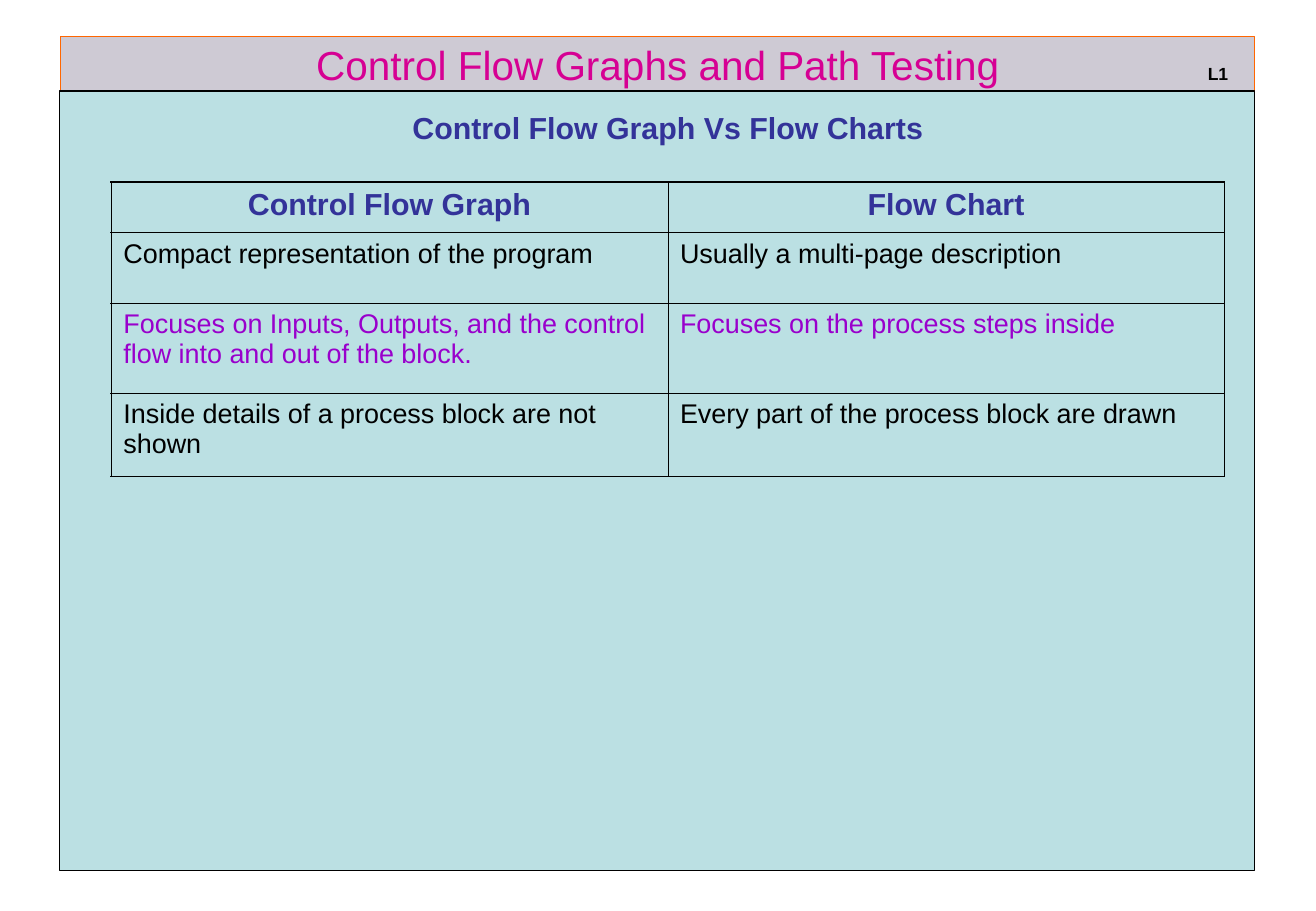
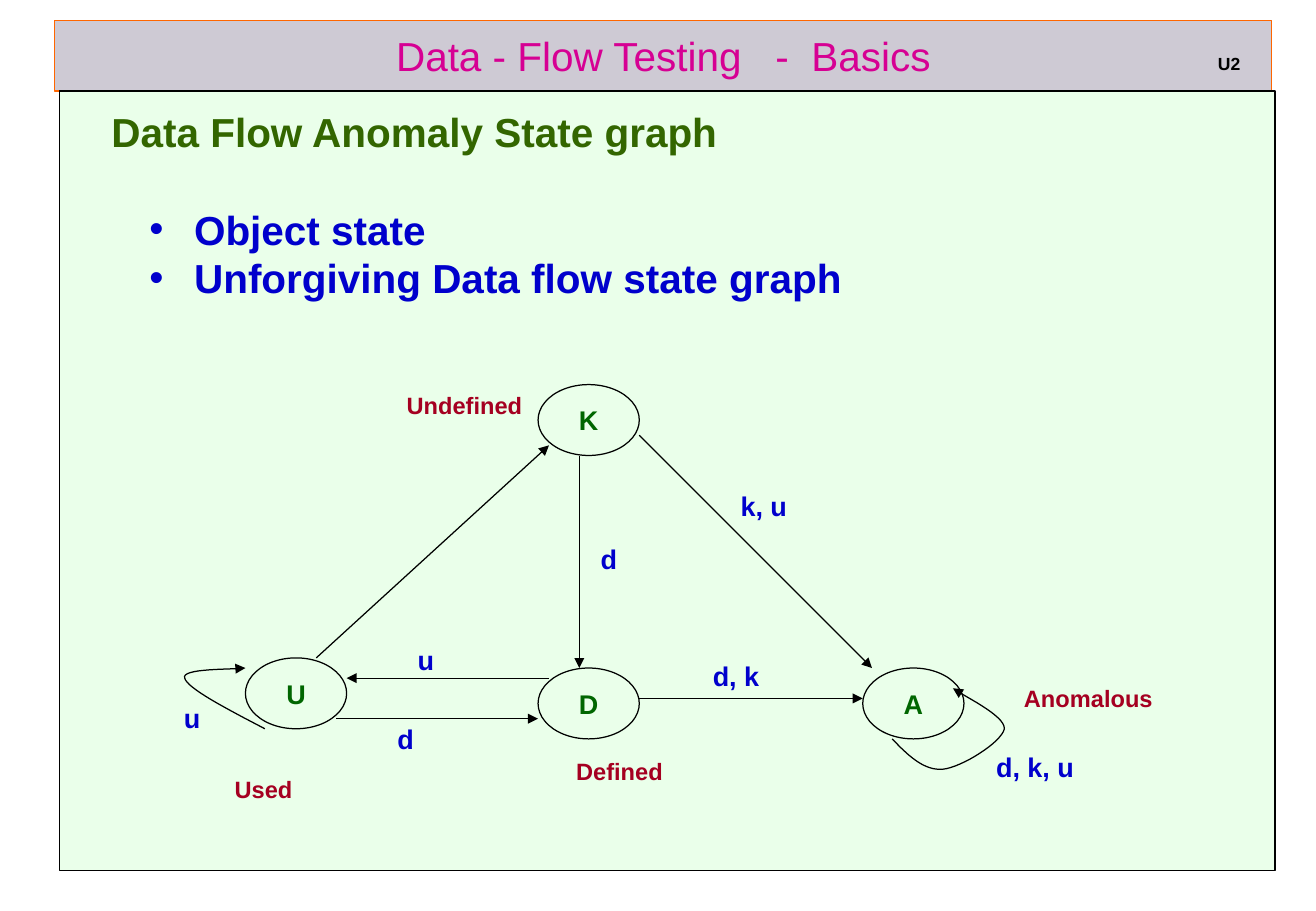
import lxml.etree
import pptx
import pptx.dml.color
import pptx.enum.shapes
import pptx.enum.text
import pptx.oxml.ns
import pptx.util

Pt = pptx.util.Pt
ALIGN = pptx.enum.text.PP_ALIGN
SHAPES = pptx.enum.shapes.MSO_SHAPE

# Shared look
FONT = "Arial"
BLACK = "000000"
BAND_FILL, BAND_LINE, TITLE_COLOR = "CECAD4", "FF6600", "D60093"
INDIGO, PURPLE, BLUE = "333399", "9900CC", "0000CC"
OLIVE, GREEN, RED = "336600", "006600", "A50021"
LINE_WIDTH = 0.75
THIN, THICK = 0.45, 1.08
NODE_WIDTH, NODE_HEIGHT = 60, 42
BULLET_LEFT, BULLET_HANG = 72, 26.5
CURVE_STEPS = 16


def color(value):
    return pptx.dml.color.RGBColor.from_string(value)


def add_xml(parent, tag, **attributes):
    element = lxml.etree.SubElement(parent, pptx.oxml.ns.qn(tag))
    for name, value in attributes.items():
        element.set(name, str(value))
    return element


def style_paragraph(para, size, text_color, bold=False, align=ALIGN.LEFT):
    para.alignment = align
    for span in para.runs:
        span.font.name = FONT
        span.font.size = Pt(size)
        span.font.bold = bold
        span.font.color.rgb = color(text_color)


def style_line(line, line_color=BLACK):
    line.color.rgb = color(line_color)
    line.width = Pt(LINE_WIDTH)


# Text and plain shapes
def add_text(page, left, top, width, height, text, size, text_color,
             wrap=False, align=ALIGN.LEFT):
    box = page.shapes.add_textbox(Pt(left), Pt(top), Pt(width), Pt(height))
    frame = box.text_frame
    frame.word_wrap = wrap
    frame.auto_size = pptx.enum.text.MSO_AUTO_SIZE.SHAPE_TO_FIT_TEXT
    frame.text = text
    for para in frame.paragraphs:
        style_paragraph(para, size, text_color, True, align)
    return box


def add_shape(page, kind, left, top, width, height, fill=None, line=BLACK):
    shape = page.shapes.add_shape(kind, Pt(left), Pt(top), Pt(width), Pt(height))
    shape.shadow.inherit = False
    if fill:
        shape.fill.solid()
        shape.fill.fore_color.rgb = color(fill)
    else:
        shape.fill.background()
    style_line(shape.line, line)
    return shape


def set_centred_text(shape, pieces, size, text_color, bold, wrap):
    """Pieces are (text, extra letter spacing in points)."""
    frame = shape.text_frame
    frame.margin_top = frame.margin_bottom = 0
    frame.word_wrap = wrap
    frame.vertical_anchor = pptx.enum.text.MSO_ANCHOR.MIDDLE
    para = frame.paragraphs[0]
    for text, spacing in pieces:
        span = para.add_run()
        span.text = text
        if spacing:
            span._r.get_or_add_rPr().set("spc", str(round(spacing * 100)))
    style_paragraph(para, size, text_color, bold, ALIGN.CENTER)


def add_page(deck, title, title_place, tag, tag_place, panel_width, panel_fill):
    """Add a page with its title band, content panel and unit tag."""
    page = deck.slides.add_slide(deck.slide_layouts[6])
    band = add_shape(page, SHAPES.RECTANGLE, *title_place, BAND_FILL, BAND_LINE)
    set_centred_text(band, title, 24, TITLE_COLOR, False, True)
    panel = add_shape(page, SHAPES.RECTANGLE, 35.5, 54, panel_width, 462, panel_fill)
    tag_box = add_text(page, *tag_place, 28, 29.5, tag, 18, BLACK)
    span = tag_box.text_frame.paragraphs[0].runs[0]
    span._r.get_or_add_rPr().set("baseline", "-12000")
    return page, panel


def set_opacity(shape, percent):
    fill_color = shape._element.spPr.find(".//" + pptx.oxml.ns.qn("a:srgbClr"))
    add_xml(fill_color, "a:alpha", val=percent * 1000)


# Table
def set_borders(cell, widths):
    properties = cell._tc.get_or_add_tcPr()
    for side, width in widths.items():
        border = add_xml(properties, "a:ln" + side, w=int(Pt(width)))
        add_xml(add_xml(border, "a:solidFill"), "a:srgbClr", val=BLACK)


def add_comparison(page, left, top, column_width, row_heights, rows):
    """Rows are (size, colour, bold, alignment, texts)."""
    last_row, last_column = len(rows) - 1, len(rows[0][-1]) - 1
    table = page.shapes.add_table(
        last_row + 1, last_column + 1, Pt(left), Pt(top),
        Pt(column_width * (last_column + 1)), Pt(sum(row_heights))).table
    table.first_row = table.horz_banding = False
    for column in table.columns:
        column.width = Pt(column_width)
    for r, (size, text_color, bold, align, texts) in enumerate(rows):
        table.rows[r].height = Pt(row_heights[r])
        for c, text in enumerate(texts):
            cell = table.cell(r, c)
            cell.text = text
            style_paragraph(cell.text_frame.paragraphs[0], size, text_color,
                            bold, align)
            outer = {"L": c == 0, "R": c == last_column,
                     "T": r == 0, "B": r == last_row}
            set_borders(cell, {side: THICK if edge else THIN
                               for side, edge in outer.items()})
            cell.fill.background()


# State graph
def add_arrowhead(shape):
    add_xml(shape.line._get_or_add_ln(), "a:tailEnd", type="triangle")


def add_arrow(page, x1, y1, x2, y2):
    arrow = page.shapes.add_connector(
        pptx.enum.shapes.MSO_CONNECTOR.STRAIGHT, Pt(x1), Pt(y1), Pt(x2), Pt(y2))
    style_line(arrow.line)
    add_arrowhead(arrow)
    add_xml(arrow._element.spPr, "a:effectLst")


def bezier_points(start, curves):
    """Points along a chain of cubic curves, each (control, control, end)."""
    points = []
    for curve in curves:
        corners = (start, *curve)
        for step in range(1, CURVE_STEPS + 1):
            t = step / CURVE_STEPS
            weights = ((1 - t) ** 3, 3 * t * (1 - t) ** 2,
                       3 * t ** 2 * (1 - t), t ** 3)
            points.append(tuple(
                Pt(sum(w * corner[axis] for w, corner in zip(weights, corners)))
                for axis in (0, 1)))
        start = curve[-1]
    return points


def add_loop(page, start, curves):
    builder = page.shapes.build_freeform(Pt(start[0]), Pt(start[1]))
    builder.add_line_segments(bezier_points(start, curves), close=False)
    loop = builder.convert_to_shape()
    loop.shadow.inherit = False
    loop.fill.background()
    style_line(loop.line)
    add_arrowhead(loop)


def add_bulleted_heading(page, heading, bullets):
    box = add_text(page, 36, 60, 714, 122, "\n".join([heading, *bullets]),
                   24, BLUE, wrap=True)
    first, *items = box.text_frame.paragraphs
    first._p.get_or_add_pPr().set("marL", str(Pt(23)))
    style_paragraph(first, 24, OLIVE, True)
    for para in items:
        properties = para._p.get_or_add_pPr()
        properties.set("marL", str(Pt(BULLET_LEFT)))
        properties.set("indent", str(-Pt(BULLET_HANG)))
        add_xml(add_xml(properties, "a:buClr"), "a:srgbClr", val=BLUE)
        add_xml(properties, "a:buFont", typeface=FONT)
        add_xml(properties, "a:buChar", char="•")
    items[0].space_before = Pt(29)


# Pages
def build_comparison_page(deck):
    page, _ = add_page(deck, [("Control Flow Graphs and Path Testing", 0)],
                       (36, 21.6, 708, 32.4), "L1", (709, 24), 708.5, "BBE0E3")
    add_text(page, 42, 61, 708, 29, "Control Flow Graph Vs Flow Charts",
             18, INDIGO, wrap=True, align=ALIGN.CENTER)
    body = (16, BLACK, False, ALIGN.LEFT)
    add_comparison(page, 66, 108, 330, (30, 42, 53, 49.5), [
        (18, INDIGO, True, ALIGN.CENTER, ("Control Flow Graph", "Flow Chart")),
        (*body, ("Compact representation of the program",
                 "Usually a multi-page description")),
        (16, PURPLE, False, ALIGN.LEFT,
         ("Focuses on Inputs, Outputs, and the control flow into and out of the block.",
          "Focuses on the process steps inside")),
        (*body, ("Inside details of a process block are not shown",
                 "Every part of the process block are drawn")),
    ])


def build_state_graph_page(deck):
    title = [("Data - Flow Testing", 0), (" ", 13.3), ("-", 0), (" ", 6.7),
             ("Basics", 0)]
    page, panel = add_page(deck, title, (32.5, 12, 721.5, 42),
                           "U2", (715, 18), 720.5, "CCFFCC")
    set_opacity(panel, 40)
    add_bulleted_heading(page, "Data Flow Anomaly State graph",
                         ["Object state", "Unforgiving Data flow state graph"])

    # States
    for name, left, top in (("K", 319, 228), ("D", 319, 396),
                            ("U", 145.5, 390), ("A", 511.5, 396)):
        node = add_shape(page, SHAPES.OVAL, left, top, NODE_WIDTH, NODE_HEIGHT)
        set_centred_text(node, [(name, 0)], 16, GREEN, True, False)

    # Transitions
    for ends in ((325.5, 402, 205.5, 402), (199.5, 426, 319, 426),
                 (187.5, 390, 325.5, 264), (343.5, 270, 343.5, 396),
                 (379, 414, 511.5, 414), (379, 258, 517, 396)):
        add_arrow(page, *ends)
    add_loop(page, (157, 432), [
        ((134, 420), (111, 408), (109.5, 402)),
        ((107, 396), (138, 397), (145.5, 396))])
    add_loop(page, (529, 438), [
        ((538.5, 448), (548, 457), (559, 456)),
        ((570, 455), (594, 440), (595.5, 432)),
        ((596, 424), (570, 412), (565, 408))])

    # Transition labels
    for text, left, top, width in (
            ("u", 102, 412.5, 25), ("d", 228.5, 425, 25),
            ("u", 240.5, 378, 25), ("k, u", 432, 286.5, 43),
            ("d, k", 415.5, 387.5, 43), ("d, k, u", 583.5, 441.5, 62),
            ("d", 349, 318, 25)):
        add_text(page, left, top, width, 26.5, text, 16, BLUE)

    # State descriptions
    for text, left, top, width in (
            ("Defined", 334.5, 445, 67), ("Used", 132, 456, 50),
            ("Undefined", 234, 228, 84), ("Anomalous", 600, 402, 92)):
        add_text(page, left, top, width, 24.5, text, 14, RED)


def main():
    deck = pptx.Presentation()
    deck.slide_width, deck.slide_height = Pt(780.25), Pt(540)
    build_comparison_page(deck)
    build_state_graph_page(deck)
    deck.save("out.pptx")


if __name__ == "__main__":
    main()
